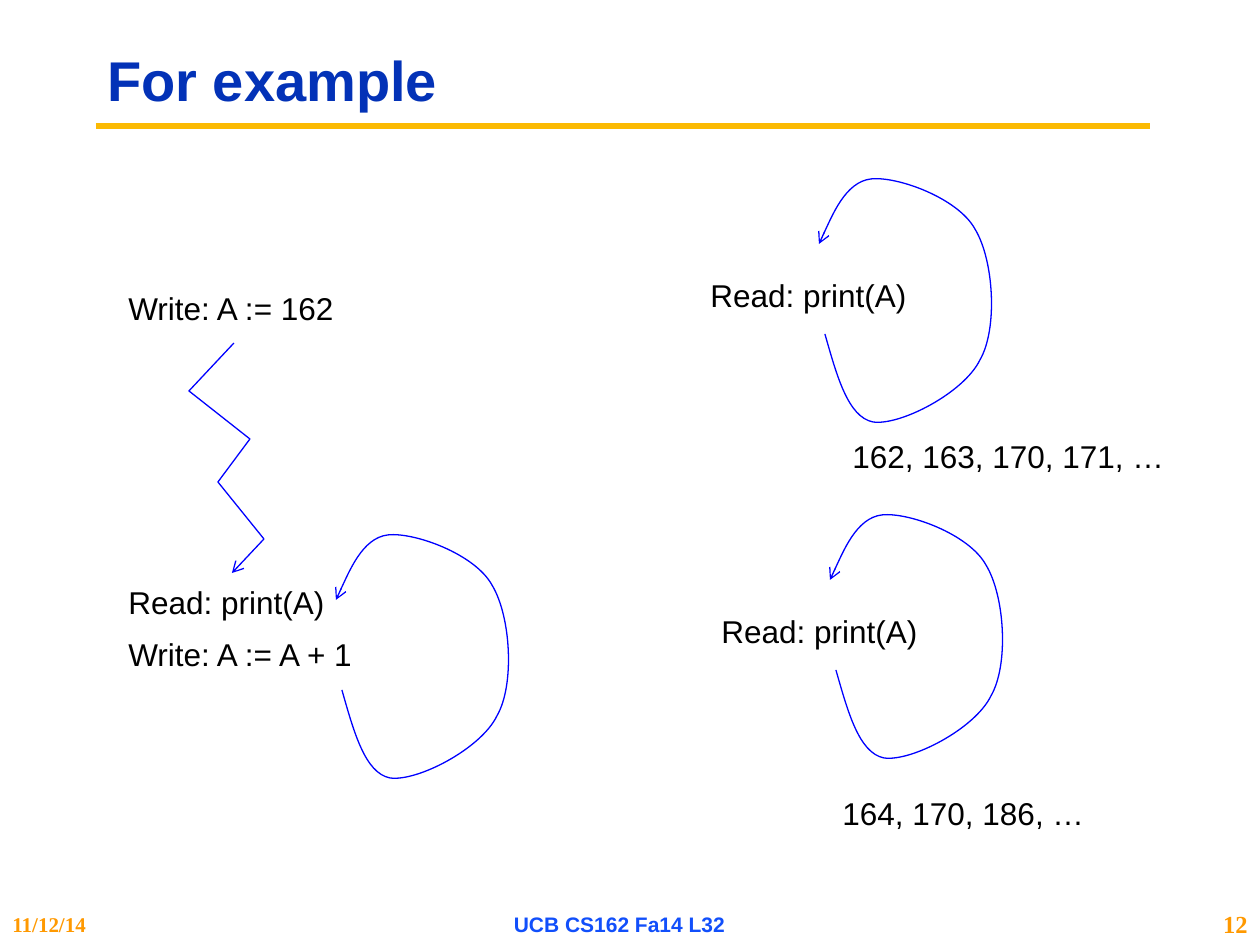
from dataclasses import dataclass

from lxml.etree import SubElement
from pptx import Presentation
from pptx.dml.color import RGBColor
from pptx.enum.shapes import MSO_CONNECTOR
from pptx.enum.text import MSO_ANCHOR, MSO_AUTO_SIZE, PP_ALIGN
from pptx.oxml.ns import qn
from pptx.util import Emu, Pt

EMU_PER_PX = 914400 / 126


@dataclass(frozen=True)
class Theme:
    sans: str = "Arial"
    serif: str = "Times New Roman"
    title: str = "0332B7"
    rule: str = "FBBA03"
    orange: str = "FF9900"
    course: str = "114FFB"
    ink: str = "000000"
    arrow: str = "0000FF"
    title_size: int = 32
    body_size: int = 18
    footer_size: int = 12
    number_size: int = 14
    rule_width: float = 3.75
    arrow_width: float = 0.75


THEME = Theme()

LOOP_START = (6, 155)
LOOP_CURVES = [
    [(18, 197), (29, 238), (54, 243)],
    [(81, 247), (145, 214), (161, 181)],
    [(179, 150), (175, 81), (156, 50)],
    [(139, 19), (78, -3), (52, 0)],
    [(26, 3), (0, 65), (0, 65)],
]
ZIGZAG = [(45, 0), (0, 48), (61, 96), (29, 139), (75, 196), (43, 230)]


def px(length):
    return Emu(round(length * EMU_PER_PX))


def add_text(slide, box, text, size, color, font=THEME.sans, bold=False,
             align=PP_ALIGN.LEFT, anchor=MSO_ANCHOR.MIDDLE):
    shape = slide.shapes.add_textbox(*map(px, box))
    frame = shape.text_frame
    frame.word_wrap = True
    frame.vertical_anchor = anchor
    frame.text = text
    paragraph = frame.paragraphs[0]
    paragraph.alignment = align
    run_font = paragraph.runs[0].font
    run_font.name = font
    run_font.size = Pt(size)
    run_font.bold = bold
    run_font.color.rgb = RGBColor.from_string(color)
    return shape


def add_label(slide, left, top, width, text):
    shape = add_text(slide, (left, top, width, 50), text, THEME.body_size,
                     THEME.ink, anchor=MSO_ANCHOR.TOP)
    shape.text_frame.word_wrap = False
    shape.text_frame.auto_size = MSO_AUTO_SIZE.SHAPE_TO_FIT_TEXT


def style_line(shape, color, width):
    shape.line.color.rgb = RGBColor.from_string(color)
    shape.line.width = Pt(width)


def add_arrow_path(slide, left, top, points):
    builder = slide.shapes.build_freeform(*points[0], scale=EMU_PER_PX)
    builder.add_line_segments(points[1:], close=False)
    shape = builder.convert_to_shape(px(left), px(top))
    shape.shadow.inherit = False
    shape.fill.background()
    style_line(shape, THEME.arrow, THEME.arrow_width)
    SubElement(shape.line._get_or_add_ln(), qn("a:tailEnd"), type="arrow")
    return shape


def bend_segments(shape):
    outline = next(shape._element.iter(qn("a:path")))
    segments = outline.findall(qn("a:lnTo"))
    for first in range(0, len(segments), 3):
        curve = SubElement(outline, qn("a:cubicBezTo"))
        for segment in segments[first:first + 3]:
            curve.append(segment[0])
            outline.remove(segment)


def add_loop(slide, left, top):
    points = [LOOP_START] + [point for curve in LOOP_CURVES for point in curve]
    bend_segments(add_arrow_path(slide, left, top, points))


def add_header(slide, left, top, width):
    rule = slide.shapes.add_connector(
        MSO_CONNECTOR.STRAIGHT, px(left + 1), px(top + 94),
        px(left + width - 6), px(top + 94))
    style_line(rule, THEME.rule, THEME.rule_width)
    SubElement(rule._element.spPr, qn("a:effectLst"))
    title = add_text(slide, (left, top, width, 102), "For example",
                     THEME.title_size, THEME.title, bold=True)
    title.text_frame.paragraphs[0].line_spacing = 0.9


def add_footer(slide, top, width, height):
    add_text(slide, (0, top, 210, height), "11/12/14", THEME.footer_size,
             THEME.orange, THEME.serif, True)
    add_text(slide, (420, top, 399, height), "UCB CS162 Fa14 L32",
             THEME.footer_size, THEME.course, bold=True, align=PP_ALIGN.CENTER)
    add_text(slide, (width - 73, top, 73, height), "12", THEME.number_size,
             THEME.orange, THEME.serif, True, PP_ALIGN.RIGHT)


def add_writer(slide, left, top):
    add_label(slide, left, top, 233, "Write: A := 162")
    add_arrow_path(slide, left + 73, top + 60, ZIGZAG)
    add_label(slide, left, top + 294, 223, "Read: print(A)")
    add_label(slide, left, top + 346, 251, "Write: A := A + 1")
    add_loop(slide, left + 220, top + 252)


def add_reader(slide, left, top, output, output_box):
    add_label(slide, left, top + 91, 223, "Read: print(A)")
    add_loop(slide, left + 121, top)
    offset_x, offset_y, width = output_box
    add_label(slide, left + offset_x, top + offset_y, width, output)


def main():
    presentation = Presentation()
    presentation.slide_width = px(1260)
    presentation.slide_height = px(945)
    slide = presentation.slides.add_slide(presentation.slide_layouts[6])
    add_header(slide, 95, 32, 1061)
    add_footer(slide, 903, 1260, 42)
    add_writer(slide, 116, 283)
    add_reader(slide, 698, 179, "162, 163, 170, 171, …", (142, 252, 340))
    add_reader(slide, 709, 515, "164, 170, 186, …", (121, 273, 270))
    presentation.save("out.pptx")


if __name__ == "__main__":
    main()
